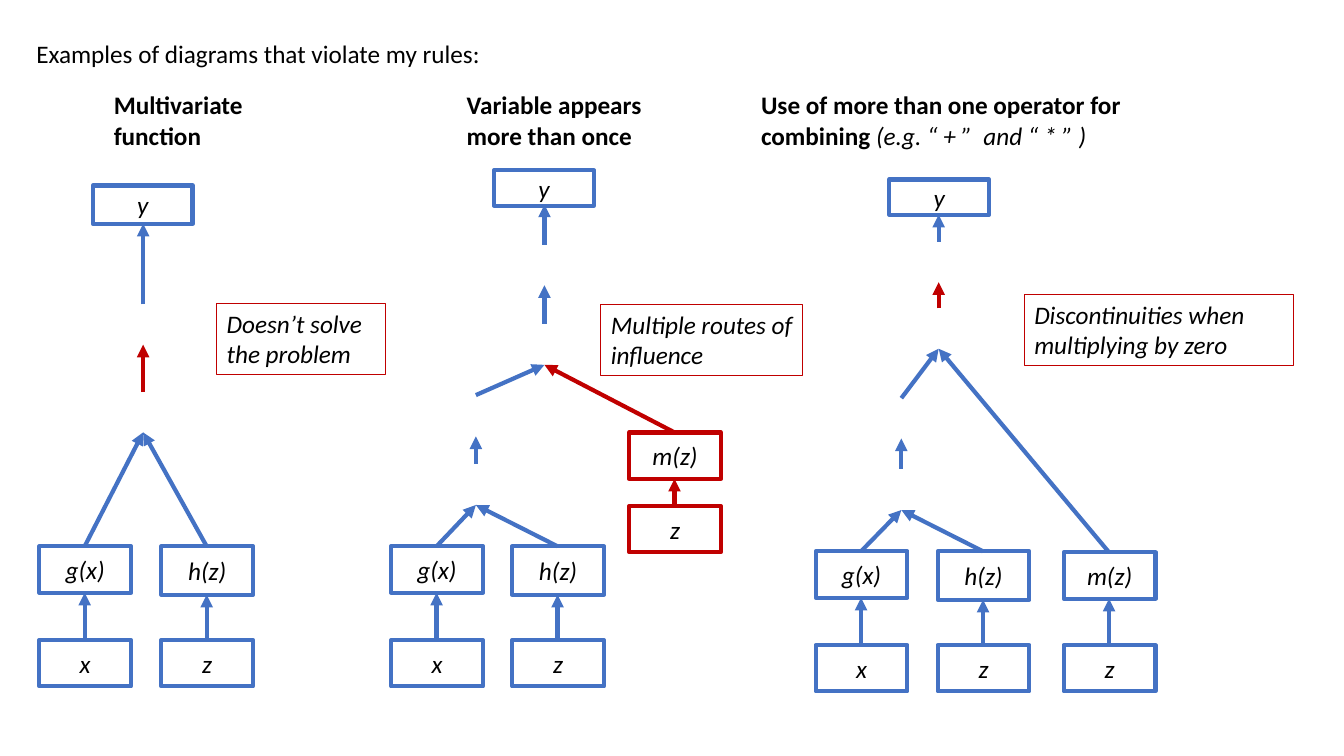
"""Build a slide with three function diagrams that violate the rules."""
from lxml.etree import SubElement
from pptx import Presentation
from pptx.dml.color import RGBColor
from pptx.enum.shapes import MSO_CONNECTOR, MSO_SHAPE
from pptx.enum.text import MSO_ANCHOR, MSO_AUTO_SIZE, PP_ALIGN
from pptx.oxml.ns import qn
from pptx.util import Pt

PX = 9144
BLUE = RGBColor(0x44, 0x72, 0xC4)
RED = RGBColor(0xC0, 0x00, 0x00)
BLACK = RGBColor(0x00, 0x00, 0x00)
WHITE = RGBColor(0xFF, 0xFF, 0xFF)
NODE_WIDTH, NODE_HEIGHT, RESULT_WIDTH = 91, 46, 99


def write_text(box, text, bold=False, italic=False, align=PP_ALIGN.LEFT, anchor=MSO_ANCHOR.TOP):
    frame = box.text_frame
    frame.word_wrap = True
    frame.auto_size = MSO_AUTO_SIZE.NONE
    frame.vertical_anchor = anchor
    para = frame.paragraphs[0]
    para.alignment = align
    span = para.add_run()
    span.text = text
    span.font.name = "Calibri"
    span.font.size = Pt(18)
    span.font.bold = bold
    span.font.italic = italic
    span.font.color.rgb = BLACK


def add_box(page, left, top, width, height, color, line_width):
    box = page.shapes.add_shape(
        MSO_SHAPE.RECTANGLE, left * PX, top * PX, width * PX, height * PX)
    box.shadow.inherit = False
    box.fill.background()
    box.line.color.rgb = color
    box.line.width = Pt(line_width)
    return box


deck = Presentation()
deck.slide_width = 1333 * PX
deck.slide_height = 750 * PX
page = deck.slides.add_slide(deck.slide_layouts[5])

title = page.shapes.title
title.left, title.top, title.width, title.height = 26 * PX, 33 * PX, 1189 * PX, 40 * PX
write_text(title, "Examples of diagrams that violate my rules:")

headings = [
    (103, 162, "Multivariate function", ""),
    (453, 223, "Variable appears more than once", ""),
    (745, 410, "Use of more than one operator for combining ", "(e.g. “ + ”  and “ * ” )"),
]
for left, width, text, example in headings:
    heading = page.shapes.add_textbox(left * PX, 84 * PX, width * PX, 71 * PX)
    write_text(heading, text, bold=True)
    if example:
        write_text(heading, example, italic=True)

branches = [
    ("g(x)", "x", 39, 542, 46, 635, (142, 429), BLUE),
    ("h(z)", "z", 160, 542, 48, 635, (142, 429), BLUE),
    ("g(x)", "x", 388, 542, 46, 635, (472, 501), BLUE),
    ("h(z)", "z", 508, 542, 48, 635, (472, 501), BLUE),
    ("m(z)", "z", 624, 429, 46, 502, (540, 362), RED),
    ("g(x)", "x", 809, 547, 46, 640, (894, 506), BLUE),
    ("h(z)", "z", 930, 547, 48, 640, (894, 506), BLUE),
    ("m(z)", "z", 1055, 548, 46, 640, (931, 346), BLUE),
]
nodes = [
    ("y", 92, 184, RESULT_WIDTH, 38, BLUE),
    ("y", 490, 169, RESULT_WIDTH, 35, BLUE),
    ("y", 882, 178, RESULT_WIDTH, 35, BLUE),
]
arrows = [
    ((142, 389), (142, 342), RED),
    ((142, 302), (142, 222), BLUE),
    ((472, 460), (472, 433), BLUE),
    ((472, 392), (540, 362), BLUE),
    ((540, 321), (540, 283), BLUE),
    ((540, 243), (540, 203), BLUE),
    ((894, 465), (894, 435), BLUE),
    ((894, 395), (931, 346), BLUE),
    ((931, 306), (931, 280), RED),
    ((931, 240), (931, 213), BLUE),
]
for function, variable, left, top, height, variable_top, join, color in branches:
    center = left + NODE_WIDTH // 2
    nodes.append((function, left, top, NODE_WIDTH, height, color))
    nodes.append((variable, left, variable_top, NODE_WIDTH, NODE_HEIGHT, color))
    arrows.append(((center, variable_top), (center, top + height), color))
    arrows.append(((center, top), join, color))

for text, left, top, width, height, color in nodes:
    node = add_box(page, left, top, width, height, color, 3)
    node.fill.solid()
    node.fill.fore_color.rgb = WHITE
    write_text(node, text, italic=True, align=PP_ALIGN.CENTER, anchor=MSO_ANCHOR.MIDDLE)

for (start_x, start_y), (end_x, end_y), color in arrows:
    arrow = page.shapes.add_connector(
        MSO_CONNECTOR.STRAIGHT, start_x * PX, start_y * PX, end_x * PX, end_y * PX)
    arrow.line.color.rgb = color
    arrow.line.width = Pt(3)
    properties = arrow.element.spPr
    SubElement(properties.find(qn("a:ln")), qn("a:tailEnd"), type="triangle")
    SubElement(properties, qn("a:effectLst"))

callouts = [
    (215, 301, 167, "Doesn’t solve the problem"),
    (596, 302, 200, "Multiple routes of influence"),
    (1016, 292, 267, "Discontinuities when multiplying by zero"),
]
for left, top, width, text in callouts:
    callout = add_box(page, left, top, width, 71, RED, 0.75)
    write_text(callout, text, italic=True)

deck.save("out.pptx")
